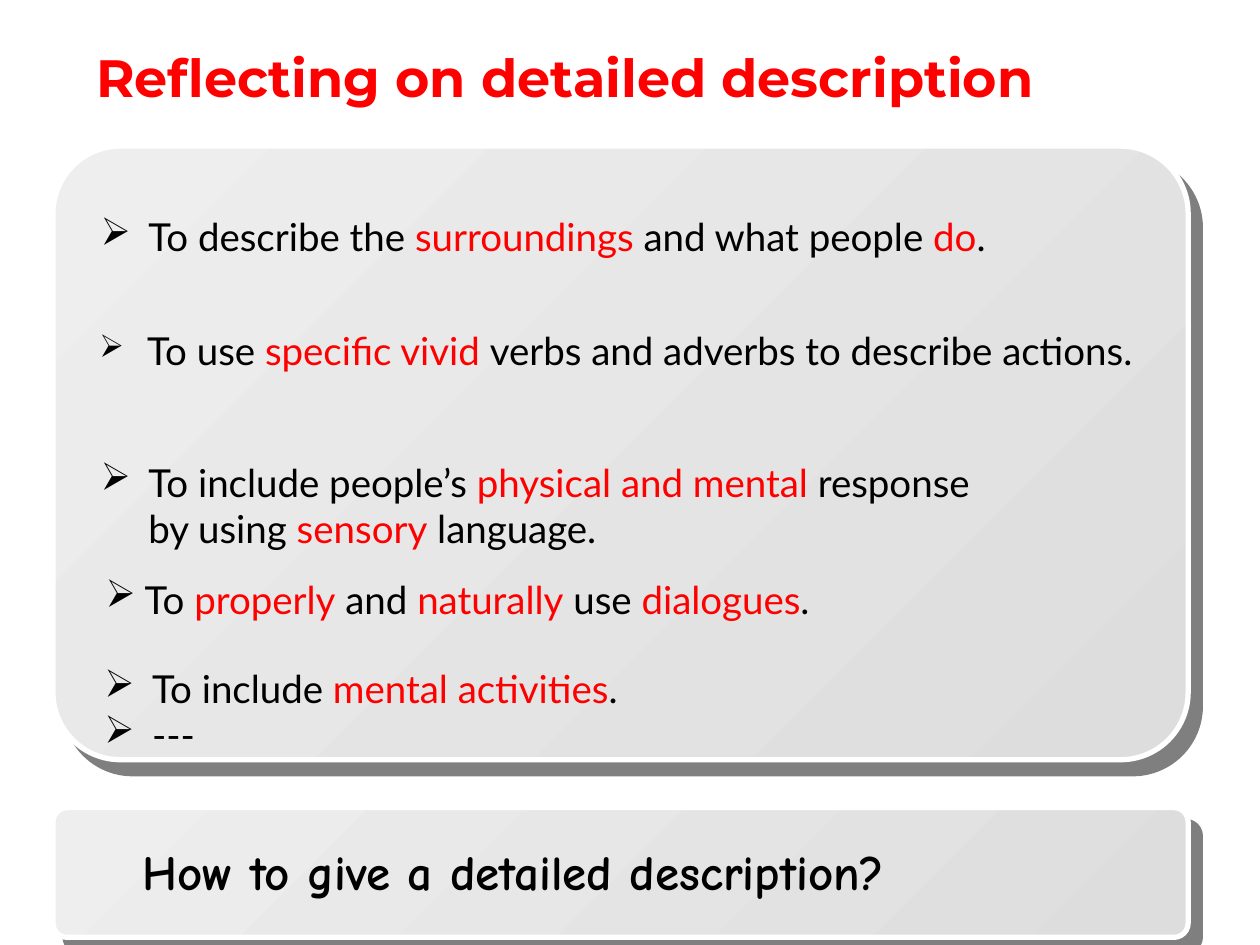
from lxml import etree
from pptx import Presentation
from pptx import util as u
from pptx.dml import color
from pptx.enum import shapes, text
from pptx.oxml import ns

COLUMNS, ROWS = 100, 75
CELL = u.Inches(0.1)
BLACK, RED, WHITE = "000000", "FF0000", "FFFFFF"
PANEL_STOPS = ("EEEEEE", "DDDDDD")
HEADING = {"name": "Montserrat", "size": u.Pt(30), "bold": True}
QUESTION = {"name": "Comic Neue", "size": u.Pt(28), "bold": True}
BODY = {"name": "Lato", "size": u.Pt(22), "bold": False}
PANEL_LEFT, PANEL_WIDTH = 4.2, 90.1
POINTS = [
    ((7, 16.4, 84.4, 4.7), 0.38, 100,
     ["To describe the *surroundings* and what people *do*."]),
    ((6.9, 25.5, 84.1, 4.7), 0.38, 82,
     ["To use *specific vivid *verbs and adverbs to describe actions."]),
    ((7, 35.9, 91.5, 8.4), 0.38, 100,
     ["To include people’s *physical and mental *response",
      "by using *sensory* language."]),
    ((7.4, 45.2, 64.4, 4.7), 0.31, 100,
     ["To *properly* and *naturally* use *dialogues*."]),
    ((7.3, 52.3, 64.6, 4.7), 0.38, 100,
     ["To include* mental activities*."]),
    ((7.3, 55.95, 64.6, 4.7), 0.38, 100, ["---"]),
]


def rgb(value):
    return color.RGBColor.from_string(value)


def grid(*cells):
    return [round(cell * CELL) for cell in cells]


def add_element(parent, tag, **attributes):
    element = etree.SubElement(parent, ns.qn(tag))
    for key, value in attributes.items():
        element.set(key, str(value))
    return element


def write(paragraph, marked, style):
    for index, part in enumerate(marked.split("*")):
        if part:
            run = paragraph.add_run()
            run.text = part
            for key, value in style.items():
                setattr(run.font, key, value)
            run.font.color.rgb = rgb(RED if index % 2 else BLACK)


def add_heading(slide, wording, cells):
    heading = slide.shapes.title
    heading.left, heading.top, heading.width, heading.height = grid(*cells)
    heading.text_frame.auto_size = text.MSO_AUTO_SIZE.NONE
    paragraph = heading.text_frame.paragraphs[0]
    paragraph.alignment = text.PP_ALIGN.CENTER
    write(paragraph, f"*{wording}*", HEADING)


def add_panel(slide, top, height):
    cells = grid(PANEL_LEFT, top, PANEL_WIDTH, height)
    panel = slide.shapes.add_shape(shapes.MSO_SHAPE.ROUNDED_RECTANGLE, *cells)
    panel.adjustments[0] = 0.11
    panel.fill.gradient()
    panel.fill.gradient_angle = 315
    for position, (stop, shade) in enumerate(zip(panel.fill.gradient_stops, PANEL_STOPS)):
        stop.position = position
        stop.color.rgb = rgb(shade)
    panel.line.color.rgb = rgb(WHITE)
    panel.line.width = u.Pt(3)
    panel.shadow.inherit = False
    effects = panel._element.spPr.find(ns.qn("a:effectLst"))
    shadow = add_element(effects, "a:outerShdw", blurRad=0, dist=u.Pt(10.6),
                         dir=49 * 60000, algn="ctr", rotWithShape=0)
    shade = add_element(shadow, "a:srgbClr", val=BLACK)
    add_element(shade, "a:alpha", val=50000)


def add_words(slide, cells, lines, style):
    frame = slide.shapes.add_textbox(*grid(*cells)).text_frame
    frame.word_wrap = True
    frame.auto_size = text.MSO_AUTO_SIZE.SHAPE_TO_FIT_TEXT
    for index, line in enumerate(lines):
        paragraph = frame.add_paragraph() if index else frame.paragraphs[0]
        write(paragraph, line, style)
    return frame


def add_point(slide, cells, indent, marker_percent, lines):
    frame = add_words(slide, cells, lines, BODY)
    for index, paragraph in enumerate(frame.paragraphs):
        properties = paragraph._p.get_or_add_pPr()
        properties.set("marL", str(u.Inches(indent)))
        properties.set("indent", str(0 if index else -u.Inches(indent)))
        if index == 0:
            add_element(properties, "a:buSzPct", val=marker_percent * 1000)
            add_element(properties, "a:buChar", char="➢")


def main():
    deck = Presentation()
    deck.slide_width, deck.slide_height = grid(COLUMNS, ROWS)
    slide = deck.slides.add_slide(deck.slide_layouts[5])
    add_heading(slide, "Reflecting on detailed description", (4.2, 3, 81.3, 6.1))
    add_panel(slide, 64.1, 10.3)
    add_words(slide, (10.3, 66.3, 86.3, 5.7),
              ["How to give a detailed description?"], QUESTION)
    add_panel(slide, 11.6, 48.7)
    for point in POINTS:
        add_point(slide, *point)
    deck.save("out.pptx")


if __name__ == "__main__":
    main()
